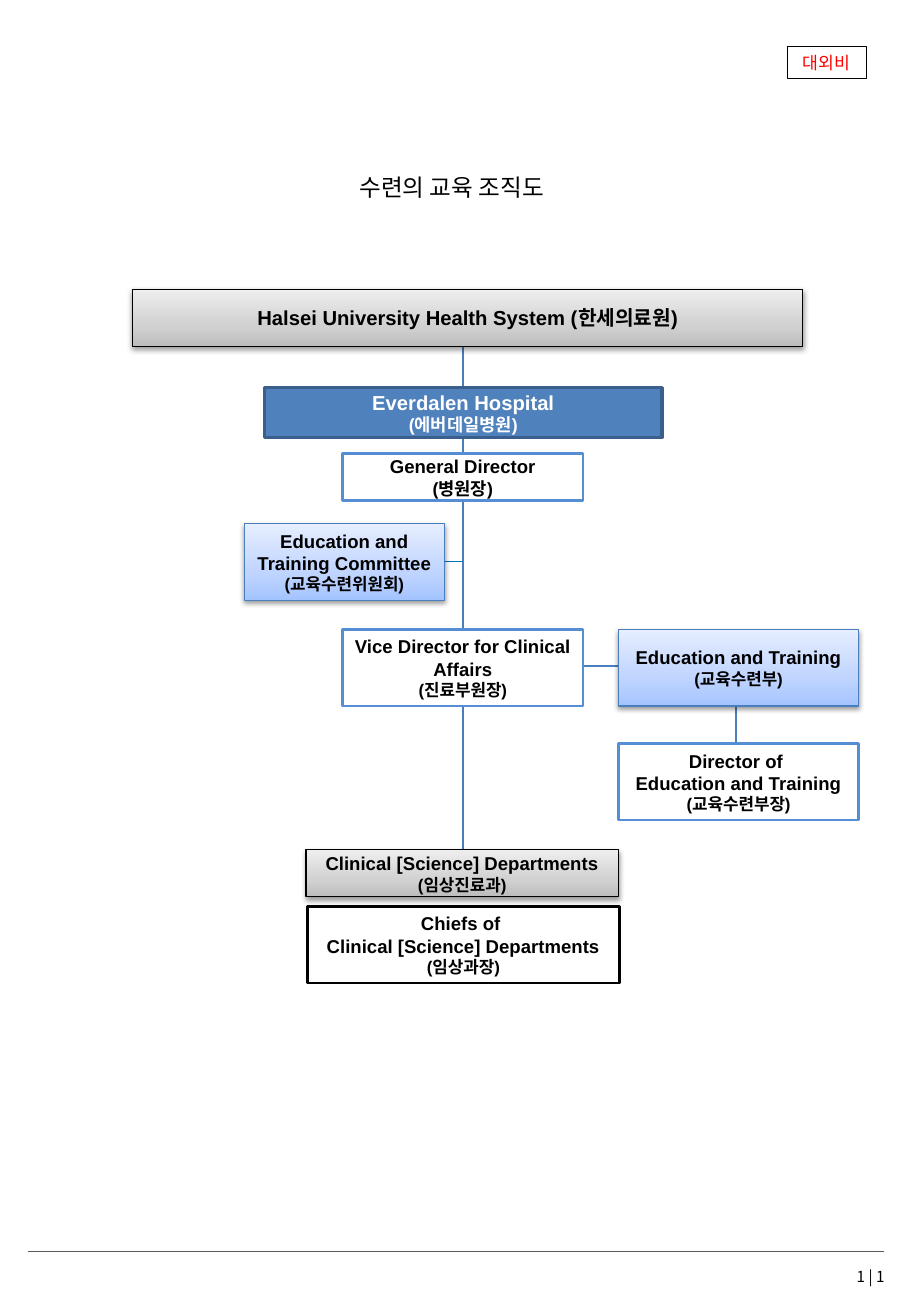
"""Builds the organisation chart for the education of residents."""
from copy import deepcopy

from lxml import etree
from pptx import Presentation
from pptx import util as u
from pptx.dml.color import RGBColor
from pptx.enum import shapes, text
from pptx.oxml.ns import qn

COLORS = {
    "black": "000000", "white": "FFFFFF", "red": "FF0000", "rule": "595959",
    "link": "4B7EBC", "thin_link": "0070C0", "outline": "558ED5",
    "hospital": "4F81BD", "hospital_edge": "3A5F8C",
}
GRADIENTS = {
    "grey": [(0, "BDBDBD"), (0.35, "D1D1D1"), (1, "EEEEEE")],
    "blue": [(0, "A4C4FF"), (0.35, "BFD4FF"), (1, "E6EEFF")],
}
KOREAN = "Noto Sans CJK KR"
CENTER, RIGHT = text.PP_ALIGN.CENTER, text.PP_ALIGN.RIGHT


def write(shape, lines, font_name, color, bold=False, align=CENTER, inset=0.0):
    """Fills a shape with one paragraph for each (words, size) pair."""
    frame = shape.text_frame
    margins = {"margin_left": inset, "margin_right": inset,
               "margin_top": inset / 2, "margin_bottom": inset / 2}
    for name, value in margins.items():
        setattr(frame, name, u.Inches(value))
    frame.word_wrap = True
    frame.vertical_anchor = text.MSO_ANCHOR.MIDDLE
    for index, (words, size) in enumerate(lines):
        paragraph = frame.paragraphs[0] if index == 0 else frame.add_paragraph()
        paragraph.alignment = align
        run = paragraph.add_run()
        run.text = words
        for name, value in {"name": font_name, "size": u.Pt(size), "bold": bold}.items():
            setattr(run.font, name, value)
        run.font.color.rgb = RGBColor.from_string(COLORS[color])
        east_asian = etree.SubElement(run.font._element, qn("a:ea"))
        east_asian.set("typeface", KOREAN)


def paint_gradient(shape, stops):
    """Gives a shape an upward three-stop gradient and a soft shadow."""
    shape.fill.gradient()
    shape.fill.gradient_angle = 90
    stop_list = shape._element.spPr.find(".//" + qn("a:gsLst"))
    while len(stop_list) < len(stops):
        stop_list.append(deepcopy(stop_list[0]))
    for stop, (position, color) in zip(shape.fill.gradient_stops, stops):
        stop.position = position
        stop.color.rgb = RGBColor.from_string(color)
    effects = shape._element.spPr.find(qn("a:effectLst"))
    shadow = etree.SubElement(effects, qn("a:outerShdw"), blurRad=str(u.Pt(3.1)),
                              dist=str(u.Pt(1.6)), dir="5400000", rotWithShape="0")
    shade = etree.SubElement(shadow, qn("a:srgbClr"), val=COLORS["black"])
    etree.SubElement(shade, qn("a:alpha"), val="38000")


presentation = Presentation()
presentation.slide_width = u.Inches(7.5)
presentation.slide_height = u.Inches(10.83)
slide = presentation.slides.add_slide(presentation.slide_layouts[6])

labels = [
    ((0.15, 1.37, 7.14, 0.34), "수련의 교육 조직도", 14, CENTER),
    ((5.88, 10.38, 1.5, 0.25), "1 | 1", 9, RIGHT),
]
for place, words, size, align in labels:
    label = slide.shapes.add_textbox(*map(u.Inches, place))
    write(label, [(words, size)], KOREAN, "black", align=align, inset=0.1)

connections = [
    ((0.23, 10.3, 7.28, 10.3), "rule", 0.75),
    ((3.81, 2.85, 3.81, 6.99), "link", 1.5),
    ((4.69, 5.48, 5.09, 5.48), "link", 1.5),
    ((6.06, 5.81, 6.06, 6.13), "link", 1.5),
    ((3.59, 4.62, 3.81, 4.62), "thin_link", 1),
]
for ends, color, width in connections:
    connector = slide.shapes.add_connector(
        shapes.MSO_CONNECTOR.STRAIGHT, *map(u.Inches, ends))
    connector.line.color.rgb = RGBColor.from_string(COLORS[color])
    connector.line.width = u.Pt(width)
    etree.SubElement(connector._element.spPr, qn("a:effectLst"))

boxes = [
    ((1.09, 2.38, 5.52, 0.47), "grey", "black", 0.75, "black",
     [("Halsei University Health System (한세의료원)", 12)]),
    ((2.18, 3.19, 3.27, 0.41), "hospital", "hospital_edge", 2, "white",
     [("Everdalen Hospital", 12), ("(에버데일병원)", 10.5)]),
    ((2.82, 3.73, 1.98, 0.39), "white", "outline", 1.5, "black",
     [("General Director", 11), ("(병원장)", 10.5)]),
    ((2.01, 4.31, 1.65, 0.63), "blue", "link", 0.75, "black",
     [("Education and Training Committee", 11), ("(교육수련위원회)", 10)]),
    ((2.82, 5.18, 1.98, 0.63), "white", "outline", 1.5, "black",
     [("Vice Director for Clinical Affairs", 11), ("(진료부원장)", 10)]),
    ((5.09, 5.18, 1.98, 0.63), "blue", "link", 0.75, "black",
     [("Education and Training", 11), ("(교육수련부)", 10)]),
    ((5.09, 6.12, 1.98, 0.63), "white", "outline", 1.5, "black",
     [("Director of ", 11), ("Education and Training", 11), ("(교육수련부장)", 10)]),
    ((2.52, 6.99, 2.57, 0.39), "grey", "black", 0.75, "black",
     [("Clinical [Science] Departments", 11), ("(임상진료과)", 10)]),
    ((2.53, 7.46, 2.57, 0.63), "white", "black", 1.5, "black",
     [("Chiefs of ", 11), ("Clinical [Science] Departments", 11), ("(임상과장)", 10)]),
    ((6.48, 0.38, 0.65, 0.27), "white", "black", 0.5, "red", [("대외비", 10.2)]),
]
for place, fill, edge, width, color, lines in boxes:
    box = slide.shapes.add_shape(shapes.MSO_SHAPE.RECTANGLE, *map(u.Inches, place))
    box.shadow.inherit = False
    box.line.color.rgb = RGBColor.from_string(COLORS[edge])
    box.line.width = u.Pt(width)
    if fill in GRADIENTS:
        paint_gradient(box, GRADIENTS[fill])
    else:
        box.fill.solid()
        box.fill.fore_color.rgb = RGBColor.from_string(COLORS[fill])
    is_stamp = color == "red"
    write(box, lines, KOREAN if is_stamp else "Arial", color, bold=not is_stamp)

presentation.save("out.pptx")
